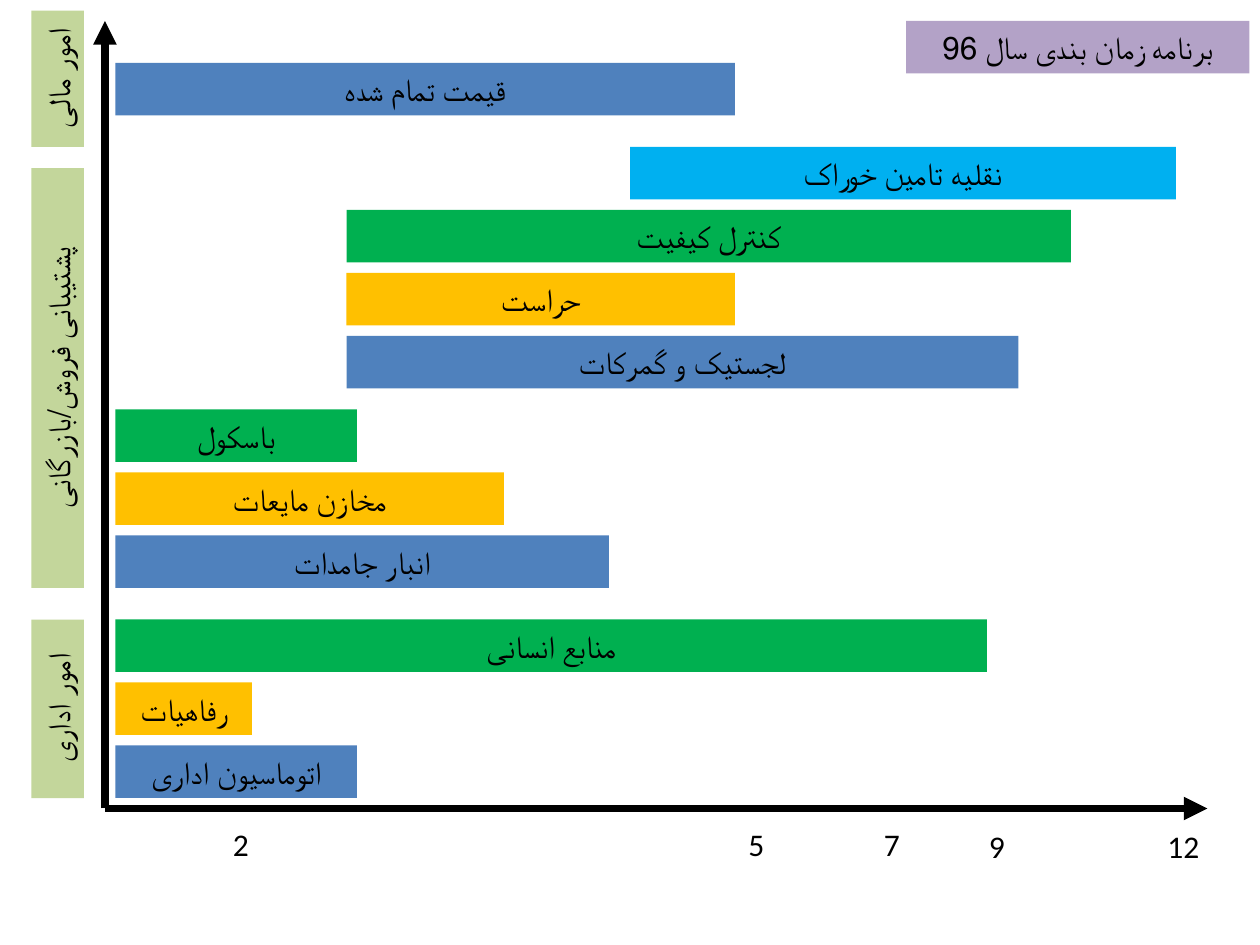
from lxml.etree import SubElement as Sub
from pptx import Presentation
from pptx.dml.color import RGBColor as Rgb
from pptx.enum.shapes import MSO_CONNECTOR as Conn, MSO_SHAPE as Kind
from pptx.enum.text import MSO_ANCHOR as Anchor, MSO_AUTO_SIZE as Fit, PP_ALIGN as Align
from pptx.oxml.ns import qn
from pptx.util import Pt

PX = 7620
WIDE, HIGH = 1200, 900
BAR, STEP = 50, 60
HUES = {
    "ink": "000000",
    "blue": "4F81BD",
    "gold": "FFC000",
    "green": "00B050",
    "sky": "00B0F0",
    "sage": "C3D69B",
    "mauve": "B3A2C7",
}
TITLE = "برنامه زمان بندی سال 96"
TICKS = [("2", 210, 0, 38), ("5", 701, 0, 38), ("7", 830, 0, 38), ("9", 930, 2, 38), ("12", 1100, 2, 54)]
SIDES = [
    ("امور مالی", 10, 130),
    ("پشتیبانی فروش/بازرگانی", 160, 400),
    ("امور اداری", 590, 170),
]
GROUPS = [
    (60, [("قیمت تمام شده", 0, 590, "blue")]),
    (140, [
        ("نقلیه تامین خوراک", 490, 520, "sky"),
        ("کنترل کیفیت", 220, 690, "green"),
        ("حراست", 220, 370, "gold"),
        ("لجستیک و گمرکات", 220, 640, "blue"),
    ]),
    (390, [
        ("باسکول", 0, 230, "green"),
        ("مخازن مایعات", 0, 370, "gold"),
        ("انبار جامدات", 0, 470, "blue"),
    ]),
    (590, [
        ("منابع انسانی", 0, 830, "green"),
        ("رفاهیات", 0, 130, "gold"),
        ("اتوماسیون اداری", 0, 230, "blue"),
    ]),
]


def scale(*nums):
    return [round(num * PX) for num in nums]


def color(hue):
    return Rgb.from_string(HUES[hue])


def write(frame, text, align):
    frame.word_wrap = False
    frame.text = text
    para = frame.paragraphs[0]
    para.alignment = align
    font = para.runs[0].font
    font.name = "Calibri"
    font.size = Pt(18)
    font.color.rgb = color("ink")


def block(slide, box, text, hue):
    shape = slide.shapes.add_shape(Kind.RECTANGLE, *scale(*box))
    shape.shadow.inherit = False
    shape.fill.solid()
    shape.fill.fore_color.rgb = color(hue)
    shape.line.fill.background()
    shape.text_frame.vertical_anchor = Anchor.MIDDLE
    write(shape.text_frame, text, Align.CENTER)
    return shape


def arrow(slide, start, end):
    line = slide.shapes.add_connector(Conn.STRAIGHT, *scale(*start, *end))
    line.line.color.rgb = color("ink")
    line.line.width = Pt(4.5)
    Sub(line.line._get_or_add_ln(), qn("a:tailEnd"), type="triangle")
    Sub(line._element.spPr, qn("a:effectLst"))


def axes(slide, box):
    left, top, wide, high = box
    base = top + high
    arrow(slide, (left, base), (left, top))
    arrow(slide, (left, base), (left + wide, base))


def ticks(slide, top):
    for text, left, drop, wide in TICKS:
        label = slide.shapes.add_textbox(*scale(left, top + drop, wide, 48))
        label.text_frame.auto_size = Fit.SHAPE_TO_FIT_TEXT
        write(label.text_frame, text, Align.LEFT)


def bars(slide, left, top, rows):
    for row, (text, shift, wide, hue) in enumerate(rows):
        block(slide, (left + shift, top + row * STEP, wide, BAR), text, hue)


def side(slide, box, text):
    left, top, wide, high = box
    turn = (wide - high) / 2
    block(slide, (left + turn, top - turn, high, wide), text, "sage").rotation = 270


def main():
    deck = Presentation()
    deck.slide_width, deck.slide_height = scale(WIDE, HIGH)
    slide = deck.slides.add_slide(deck.slide_layouts[6])
    axes(slide, (100, 20, 1050, 750))
    ticks(slide, 780)
    for top, rows in GROUPS:
        bars(slide, 110, top, rows)
    for text, top, high in SIDES:
        side(slide, (30, top, BAR, high), text)
    block(slide, (863, 20, 327, BAR), TITLE, "mauve")
    deck.save("out.pptx")


if __name__ == "__main__":
    main()
